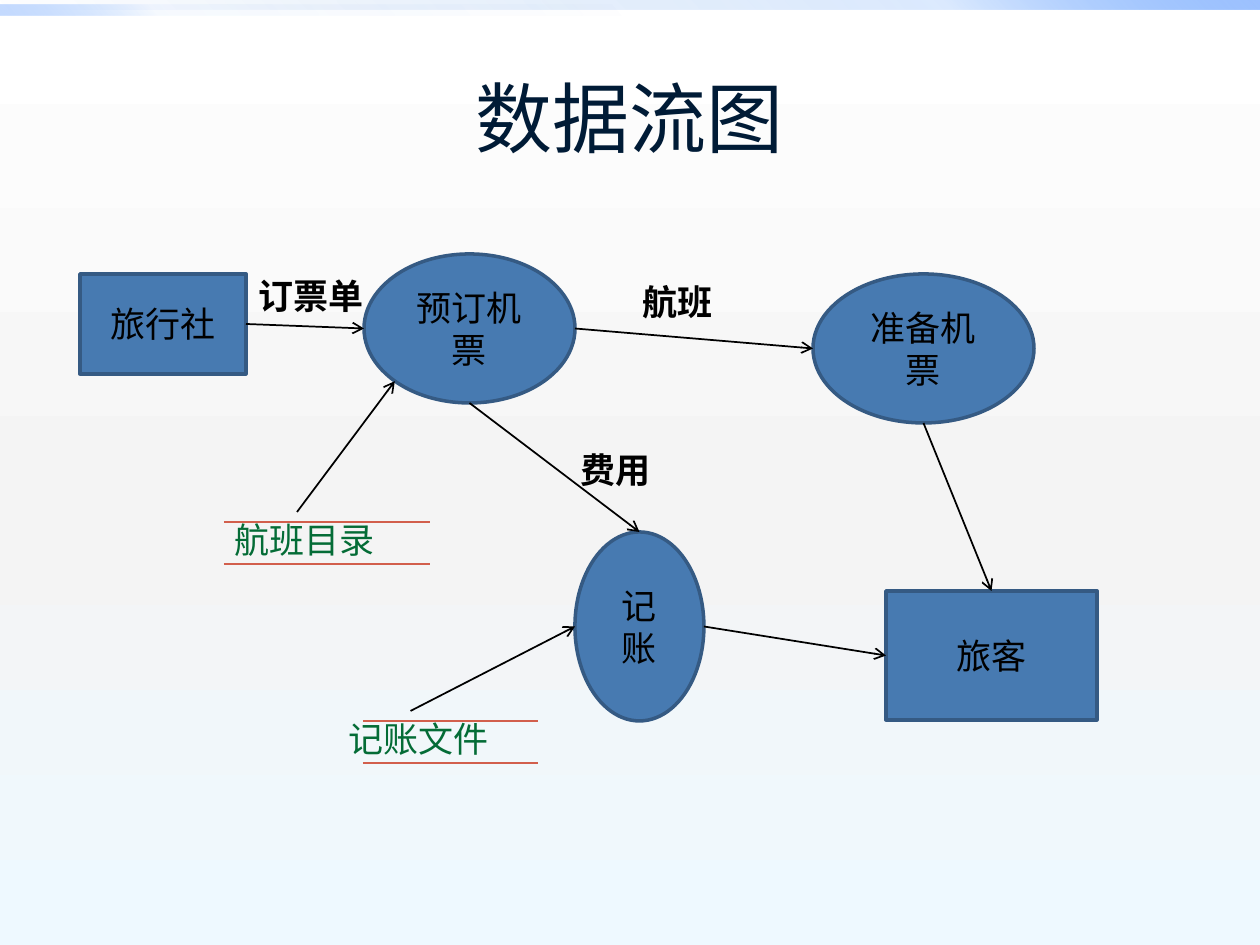
from dataclasses import dataclass
from lxml.etree import SubElement
from pptx import Presentation
from pptx.dml.color import RGBColor
from pptx.enum.shapes import MSO_CONNECTOR, MSO_SHAPE as SHAPE
from pptx.enum.text import MSO_ANCHOR as ANCHOR, MSO_AUTO_SIZE as AUTOSIZE, PP_ALIGN as ALIGN
from pptx.oxml.ns import qn
from pptx.util import Pt

SCALE = 914400 / 126
TOP, LEFT, BOTTOM, RIGHT = (0.5, 0), (0, 0.5), (0.5, 1), (1, 0.5)
LOWER_LEFT = (0.146, 0.854)


@dataclass
class Box:
    left: int
    top: int
    width: int
    height: int

    def emu(self):
        return [px(v) for v in (self.left, self.top, self.width, self.height)]

    def at(self, site):
        return self.left + site[0] * self.width, self.top + site[1] * self.height


def px(value):
    return round(value * SCALE)


def color(value):
    return RGBColor.from_string(value)


def write(frame, text, size=20, font="Cambria", ink="000000", bold=False,
          align=ALIGN.CENTER, anchor=ANCHOR.MIDDLE, wrap=True, fit=AUTOSIZE.NONE):
    frame.word_wrap = wrap
    frame.auto_size = fit
    frame.vertical_anchor = anchor
    paragraph = frame.paragraphs[0]
    paragraph.alignment = align
    run = paragraph.add_run()
    run.text = text
    run.font.size = Pt(size)
    run.font.name = font
    run.font.bold = bold
    run.font.color.rgb = color(ink)


def shade(fill, owner, angle, stops):
    fill.gradient()
    gradient = next(owner.iter(qn("a:gradFill")))
    stop_list = gradient.find(qn("a:gsLst"))
    for old in list(stop_list):
        stop_list.remove(old)
    for position, tint, opacity in stops:
        stop = SubElement(stop_list, qn("a:gs"), pos=str(position * 1000))
        paint = SubElement(stop, qn("a:srgbClr"), val=tint)
        if opacity < 100:
            SubElement(paint, qn("a:alpha"), val=str(opacity * 1000))
    gradient.find(qn("a:lin")).set("ang", str(angle * 60000))


def add_line(shapes, start, end, ink="000000", weight=1, arrow=False):
    line = shapes.add_connector(MSO_CONNECTOR.STRAIGHT, *(px(v) for v in (*start, *end)))
    line.line.color.rgb = color(ink)
    line.line.width = Pt(weight)
    properties = line._element.spPr
    if arrow:
        SubElement(properties.find(qn("a:ln")), qn("a:tailEnd"), type="arrow")
    SubElement(properties, qn("a:effectLst"))


def add_bar(slide, box, angle, stops):
    bar = slide.shapes.add_shape(SHAPE.RECTANGLE, *box.emu())
    bar.shadow.inherit = False
    bar.line.fill.background()
    shade(bar.fill, bar._element, angle, stops)


def add_backdrop(slide):
    shade(slide.background.fill, slide._element, 90,
          [(0, "FFFFFF", 100), (55, "F4F4F4", 100), (100, "EEF9FF", 100)])
    add_bar(slide, Box(0, 0, 1260, 10), 315,
            [(0, "0058B7", 0), (75, "4F95FF", 20), (100, "9EC2FF", 100)])
    add_bar(slide, Box(0, 5, 630, 10), 135,
            [(0, "0058B7", 0), (75, "4F95FF", 5), (100, "9EC2FF", 60)])


def add_title(slide, box, text):
    title = slide.shapes.title
    title.left, title.top, title.width, title.height = box.emu()
    write(title.text_frame, text, size=44, font="Roboto", ink="001B36")


def add_node(slide, box, kind, text):
    node = slide.shapes.add_shape(kind, *box.emu())
    node.shadow.inherit = False
    node.fill.solid()
    node.fill.fore_color.rgb = color("477AB1")
    node.line.color.rgb = color("355A83")
    node.line.width = Pt(2)
    write(node.text_frame, text)


def add_store(slide, box, text, rule_inset):
    store = slide.shapes.add_group_shape().shapes
    for offset in (10, 52):
        y = box.top + offset
        add_line(store, (box.left + rule_inset, y), (box.left + box.width - 10, y),
                 ink="D25F4C", weight=0.75)
    frame = store.add_textbox(*box.emu()).text_frame
    frame.margin_left = px(28)
    write(frame, text, font="Noto Sans CJK SC", ink="046C36",
          anchor=ANCHOR.TOP, fit=AUTOSIZE.SHAPE_TO_FIT_TEXT)


def add_flow_label(slide, box, text):
    frame = slide.shapes.add_textbox(*box.emu()).text_frame
    write(frame, text, font="Arial", bold=True, align=ALIGN.LEFT,
          anchor=ANCHOR.TOP, wrap=False, fit=AUTOSIZE.SHAPE_TO_FIT_TEXT)


def add_diagram(slide, area):
    def place(left, top, width, height):
        return Box(area.left + left, area.top + top, width, height)

    booking = place(284, 0, 211, 149)
    ticketing = place(733, 20, 221, 149)
    agency = place(0, 20, 166, 100)
    accounting = place(495, 278, 129, 189)
    passenger = place(806, 337, 211, 129)
    flight_list = place(74, 258, 286, 55)
    account_file = place(193, 457, 275, 55)

    for box, kind, text in [
        (booking, SHAPE.OVAL, "预订机票"),
        (ticketing, SHAPE.OVAL, "准备机票"),
        (agency, SHAPE.RECTANGLE, "旅行社"),
        (accounting, SHAPE.OVAL, "记账"),
        (passenger, SHAPE.RECTANGLE, "旅客"),
    ]:
        add_node(slide, box, kind, text)

    add_store(slide, flight_list, "航班目录", 70)
    add_store(slide, account_file, "记账文件", 90)

    for source, exit_site, target, entry_site in [
        (agency, RIGHT, booking, LEFT),
        (booking, RIGHT, ticketing, LEFT),
        (booking, BOTTOM, accounting, TOP),
        (flight_list, TOP, booking, LOWER_LEFT),
        (account_file, TOP, accounting, LEFT),
        (ticketing, BOTTOM, passenger, TOP),
        (accounting, RIGHT, passenger, LEFT),
    ]:
        add_line(slide.shapes, source.at(exit_site), target.at(entry_site), arrow=True)

    add_flow_label(slide, place(166, 14, 132, 55), "订票单")
    add_flow_label(slide, place(550, 20, 97, 55), "航班")
    add_flow_label(slide, place(488, 188, 97, 55), "费用")


def main():
    deck = Presentation()
    deck.slide_width, deck.slide_height = px(1260), px(945)
    slide = deck.slides.add_slide(deck.slide_layouts[5])
    add_backdrop(slide)
    add_title(slide, Box(63, 38, 1134, 157), "数据流图")
    add_diagram(slide, Box(80, 254, 1017, 512))
    deck.save("out.pptx")


if __name__ == "__main__":
    main()
